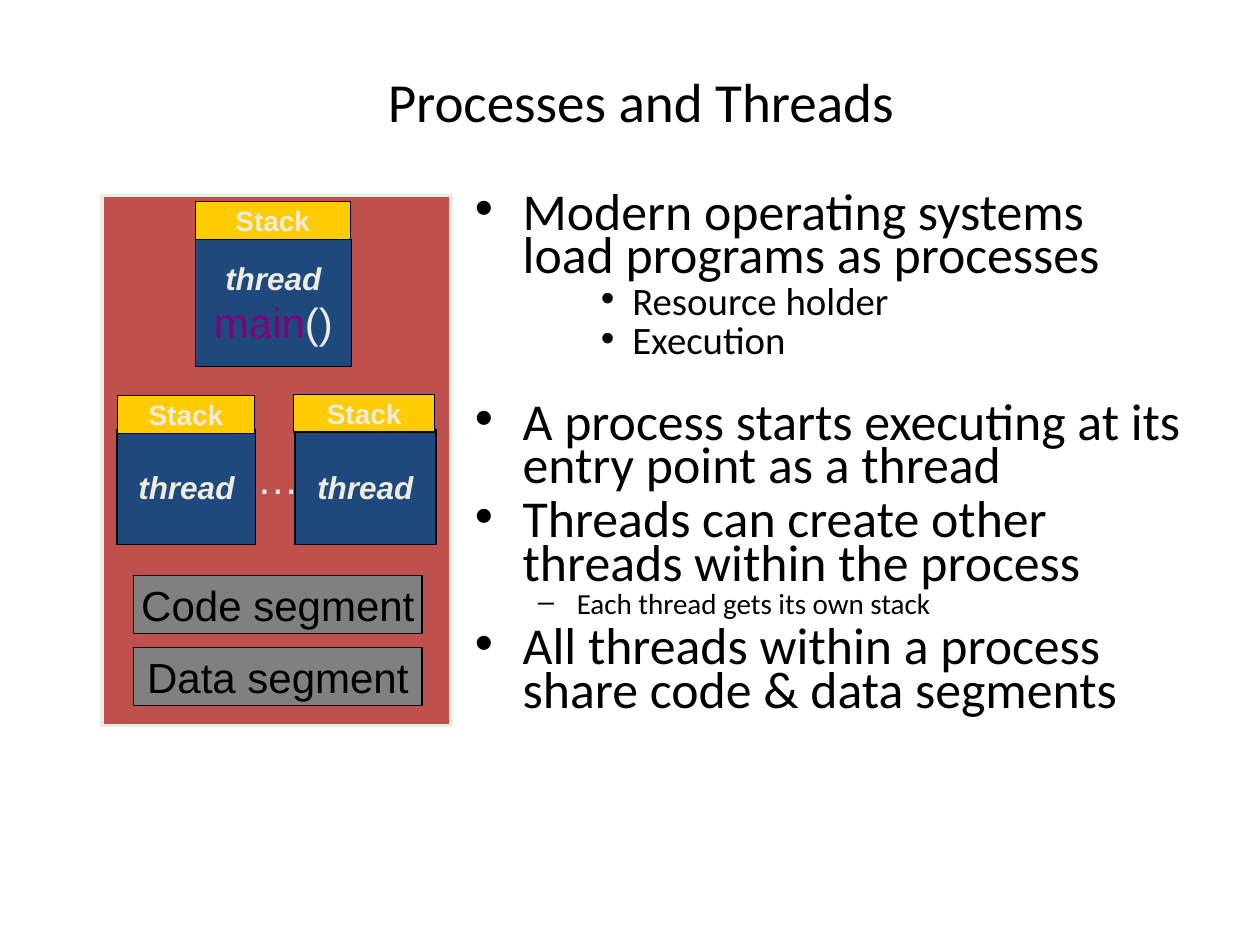
from lxml import etree
from pptx import Presentation
from pptx.dml.color import RGBColor
from pptx.enum.shapes import MSO_SHAPE
from pptx.enum.text import MSO_ANCHOR, PP_ALIGN
from pptx.oxml.ns import qn
from pptx.util import Inches, Pt

RECT = MSO_SHAPE.RECTANGLE
MIDDLE, TOP = MSO_ANCHOR.MIDDLE, MSO_ANCHOR.TOP
CENTER, LEFT = PP_ALIGN.CENTER, PP_ALIGN.LEFT

# Content
TITLE = "Processes and Threads"
BLACK, CREAM, PURPLE = "000000", "EEECE1", "800080"
RED, NAVY, GOLD, GRAY = "C0504D", "1F497D", "FFCC00", "808080"

# Level: size, left indent, hanging indent, bullet
LEVELS = {
    "point": (29.6, 0.38, 0.38, "•"),
    "dash": (16.6, 0.81, 0.31, "–"),
    "detail": (22.2, 1.25, 0.25, "•"),
}
# Level, text, extra space above in points
BULLETS = [
    ("point", "Modern operating systems load programs as processes", 0),
    ("detail", "Resource holder", 0),
    ("detail", "Execution", 0),
    ("point", "A process starts executing at its entry point as a thread", 19),
    ("point", "Threads can create other threads within the process", 0),
    ("dash", "Each thread gets its own stack", 0),
    ("point", "All threads within a process share code & data segments", 0),
]

# Run: text, size, colour, bold, italic
THREAD = [("thread", 18, CREAM, True, True)]
MAIN = [("main", 24, PURPLE, False, False), ("()", 24, CREAM, False, False)]
STACK = [("Stack", 16, CREAM, True, False)]
DOTS = [("…", 24, CREAM, False, False)]
SEGMENTS = ["Code segment", "Data segment"]
SEGMENT_TOP, SEGMENT_STEP = 4.57, 0.57

# Thread box and its stack box, with the paragraphs of the thread
THREADS = [
    ((1.55, 1.9, 1.24, 1.01), (1.55, 1.6, 1.23, 0.3), [THREAD, MAIN]),
    ((0.93, 3.41, 1.1, 0.91), (0.93, 3.14, 1.09, 0.3), [THREAD]),
    ((2.34, 3.41, 1.12, 0.91), (2.33, 3.13, 1.12, 0.3), [THREAD]),
]


def rgb(color):
    return RGBColor.from_string(color)


def add_run(paragraph, text, size, color, bold=False, italic=False, font="Arial"):
    run = paragraph.add_run()
    run.text = text
    run.font.name, run.font.size = font, Pt(size)
    run.font.bold, run.font.italic = bold, italic
    run.font.color.rgb = rgb(color)


def fill_label(frame, paragraphs):
    frame.word_wrap = False
    frame.vertical_anchor = MIDDLE
    for i, runs in enumerate(paragraphs):
        paragraph = frame.add_paragraph() if i else frame.paragraphs[0]
        paragraph.alignment = CENTER
        for run in runs:
            add_run(paragraph, *run)


def add_box(slide, place, fill, paragraphs=(), line=BLACK, width=0.75):
    box = slide.shapes.add_shape(RECT, *map(Inches, place))
    box.shadow.inherit = False
    box.fill.solid()
    box.fill.fore_color.rgb = rgb(fill)
    box.line.color.rgb = rgb(line)
    box.line.width = Pt(width)
    fill_label(box.text_frame, paragraphs)


def set_bullet(paragraph, indent, hanging, mark):
    props = paragraph._p.get_or_add_pPr()
    props.set("marL", str(Inches(indent)))
    props.set("indent", str(-Inches(hanging)))
    etree.SubElement(props, qn("a:buFont")).set("typeface", "Arial")
    etree.SubElement(props, qn("a:buChar")).set("char", mark)


prs = Presentation()
prs.slide_width, prs.slide_height = Inches(10), Inches(7.5)
slide = prs.slides.add_slide(prs.slide_layouts[5])

# Title
title = slide.shapes.title
title.left, title.top, title.width, title.height = map(Inches, (0.58, 0.49, 9.01, 0.62))
title.text_frame.vertical_anchor = MIDDLE
heading = title.text_frame.paragraphs[0]
heading.alignment = CENTER
add_run(heading, TITLE, 31.5, BLACK, font="Calibri")

# Process with its segments
add_box(slide, (0.81, 1.55, 2.77, 4.21), RED, line=CREAM, width=2)
for i, segment in enumerate(SEGMENTS):
    place = (1.06, SEGMENT_TOP + i * SEGMENT_STEP, 2.29, 0.46)
    add_box(slide, place, GRAY, [[(segment, 24, BLACK)]])

# Threads, each with a stack on top
dots = slide.shapes.add_textbox(*map(Inches, (1.94, 3.63, 0.5, 0.33)))
fill_label(dots.text_frame, [DOTS])
for thread_place, stack_place, label in THREADS:
    add_box(slide, thread_place, NAVY, label)
    add_box(slide, stack_place, GOLD, [STACK])

# Bullet list
body = slide.shapes.add_textbox(*map(Inches, (3.67, 1.5, 5.83, 4.75))).text_frame
body.word_wrap = True
body.vertical_anchor = TOP
for i, (level, text, gap) in enumerate(BULLETS):
    size, indent, hanging, mark = LEVELS[level]
    paragraph = body.add_paragraph() if i else body.paragraphs[0]
    paragraph.alignment = LEFT
    paragraph.line_spacing = 0.7
    paragraph.space_before = Pt(round(0.2 * size + gap))
    set_bullet(paragraph, indent, hanging, mark)
    add_run(paragraph, text, size, BLACK, font="Calibri")

prs.save("out.pptx")
